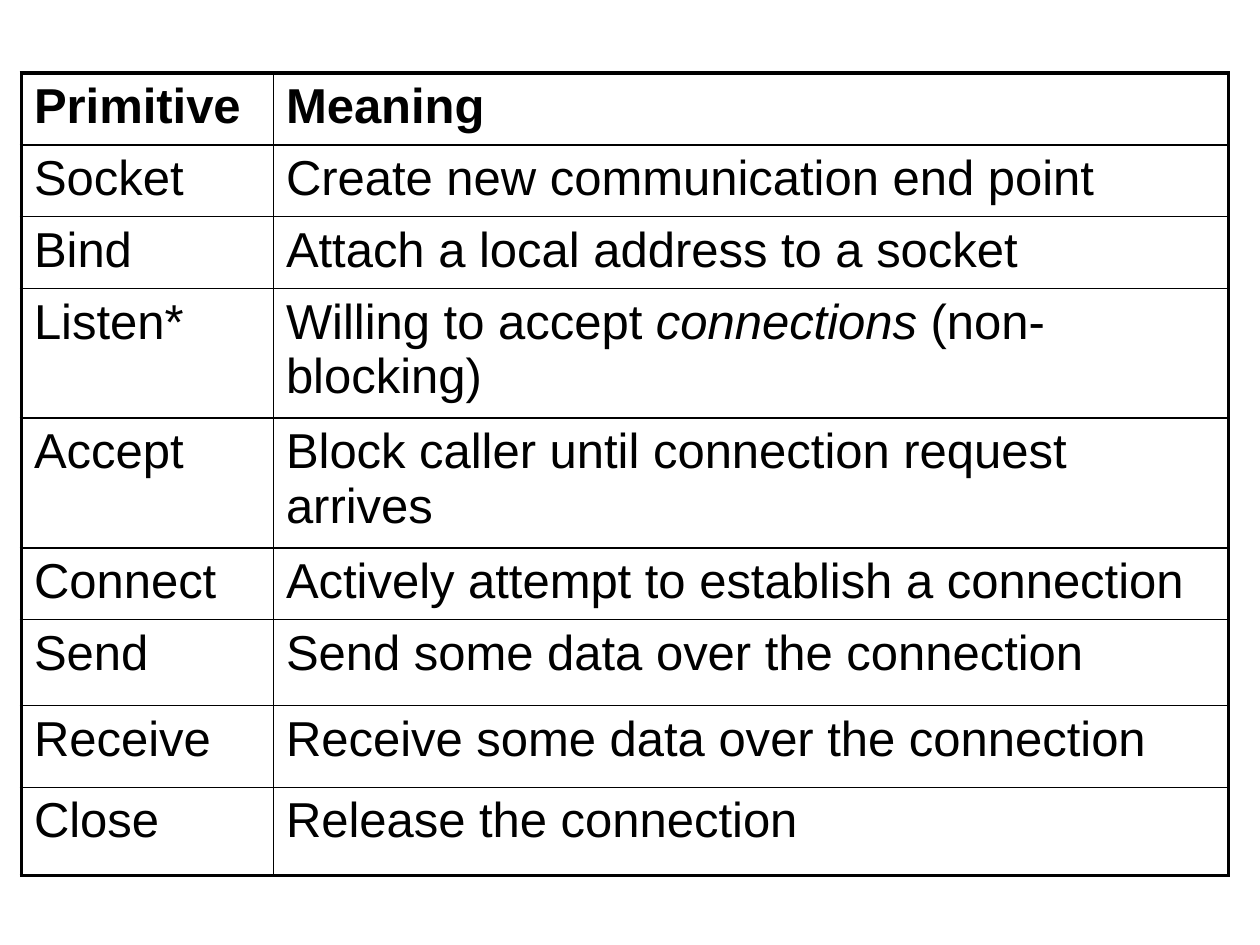
"""Build a slide with a table of socket primitives and their meanings."""
from dataclasses import dataclass

from lxml import etree
from pptx import Presentation
from pptx.dml.color import RGBColor
from pptx.oxml import ns
from pptx.util import Inches, Pt


@dataclass(frozen=True)
class Theme:
    font: str = "Arial"
    size: float = 28
    ink: str = "000000"
    outer_line: float = 2.25
    inner_line: float = 1


theme = Theme()


def add_border(cell, side, width):
    properties = cell._tc.get_or_add_tcPr()
    line = etree.SubElement(properties, ns.qn(f"a:ln{side}"), w=str(Pt(width)))
    fill = etree.SubElement(line, ns.qn("a:solidFill"))
    etree.SubElement(fill, ns.qn("a:srgbClr"), val=theme.ink)


deck = Presentation()
deck.slide_width, deck.slide_height = Inches(10), Inches(7.5)
page = deck.slides.add_slide(deck.slide_layouts[6])

column_widths = [2, 7.58]
rows = [
    (0.57, "Primitive", ["Meaning"]),
    (0.57, "Socket", ["Create new communication end point"]),
    (0.57, "Bind", ["Attach a local address to a socket"]),
    (1.03, "Listen*", ["Willing to accept ", "connections", " (non-blocking)"]),
    (1.03, "Accept", ["Block caller until connection request arrives"]),
    (0.57, "Connect", ["Actively attempt to establish a connection"]),
    (0.68, "Send", ["Send some data over the connection"]),
    (0.65, "Receive", ["Receive some data over the connection"]),
    (0.7, "Close", ["Release the connection"]),
]
last_row, last_column = len(rows) - 1, len(column_widths) - 1

table = page.shapes.add_table(
    len(rows), len(column_widths),
    Inches(0.17), Inches(0.58), Inches(9.58), Inches(6.35),
).table
table.horz_banding = False
for column, width in zip(table.columns, column_widths):
    column.width = Inches(width)

for row_index, (height, primitive, meaning) in enumerate(rows):
    table.rows[row_index].height = Inches(height)
    for column_index, parts in enumerate([[primitive], meaning]):
        cell = table.cell(row_index, column_index)
        outer_sides = {
            "L": column_index == 0,
            "R": column_index == last_column,
            "T": row_index == 0,
            "B": row_index == last_row,
        }
        for side, is_outer in outer_sides.items():
            add_border(cell, side, theme.outer_line if is_outer else theme.inner_line)
        cell.fill.background()

        para = cell.text_frame.paragraphs[0]
        for part in parts:
            span = para.add_run()
            span.text = part
            span.font.name = theme.font
            span.font.size = Pt(theme.size)
            span.font.color.rgb = RGBColor.from_string(theme.ink)
            span.font.bold = row_index == 0
            span.font.italic = part == "connections"

deck.save("out.pptx")
